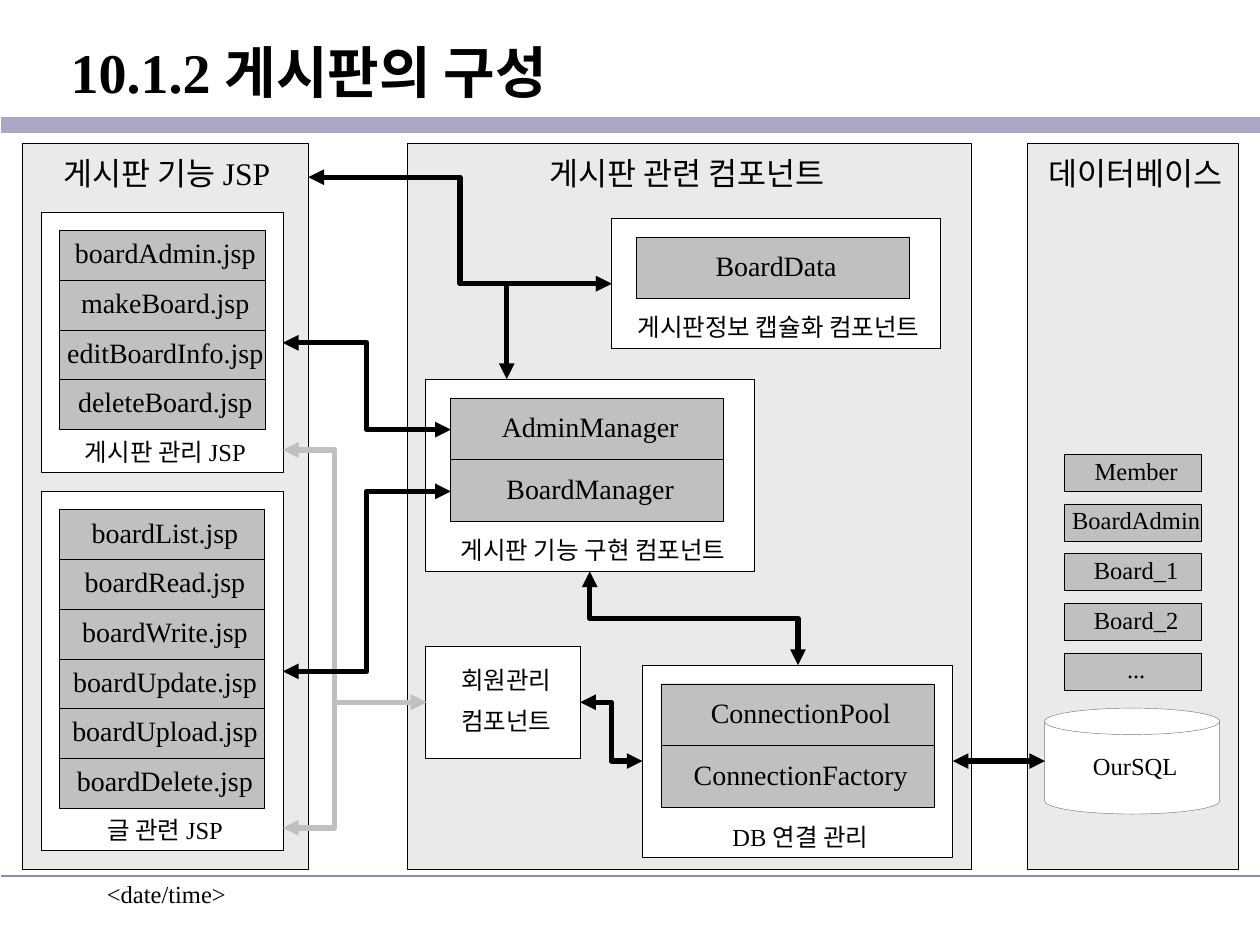
import pptx
import pptx.util
import pptx.dml.color
import pptx.enum.shapes
import pptx.enum.text
import pptx.oxml
import pptx.oxml.ns
import lxml.etree

Pt = pptx.util.Pt
RGBColor = pptx.dml.color.RGBColor
SHAPE = pptx.enum.shapes.MSO_SHAPE
CONNECTOR = pptx.enum.shapes.MSO_CONNECTOR
ANCHOR = pptx.enum.text.MSO_ANCHOR
ALIGN = pptx.enum.text.PP_ALIGN
qn = pptx.oxml.ns.qn

BLACK = RGBColor(0, 0, 0)
WHITE = RGBColor(255, 255, 255)
PANEL = RGBColor(0xEA, 0xEA, 0xEA)
SILVER = RGBColor(0xC0, 0xC0, 0xC0)
CAN_EDGE = RGBColor(0x77, 0x77, 0x77)
BAND = RGBColor(0xA8, 0xA8, 0xC4)
RULE = RGBColor(0x8C, 0x8C, 0xB2)
FONT = "Times New Roman"


def write(tf, text, size=14, bold=False, align=ALIGN.CENTER, anchor=ANCHOR.MIDDLE,
          insets=(3.6, 3.6, 0, 3.6), spacing=0.85, before=None):
    tf.word_wrap = True
    tf.auto_size = pptx.enum.text.MSO_AUTO_SIZE.NONE
    tf.vertical_anchor = anchor
    tf.margin_left, tf.margin_top, tf.margin_right, tf.margin_bottom = map(Pt, insets)
    for i, line in enumerate(text.split("\n")):
        p = tf.paragraphs[0] if i == 0 else tf.add_paragraph()
        p.alignment = align
        p.line_spacing = spacing
        p.space_before = Pt(round(size * 0.625, 1) if before is None else before)
        r = p.add_run()
        r.text = line
        r.font.name = FONT
        r.font.size = Pt(size)
        r.font.bold = bold
        r.font.color.rgb = BLACK


def block(s, x, y, w, h, fill, text="", edge=BLACK, shape=SHAPE.RECTANGLE, **fmt):
    sp = s.shapes.add_shape(shape, Pt(x), Pt(y), Pt(w), Pt(h))
    sp.shadow.inherit = False
    sp.fill.solid()
    sp.fill.fore_color.rgb = fill
    if edge is None:
        sp.line.fill.background()
    else:
        sp.line.color.rgb = edge
        sp.line.width = Pt(0.26)
    if text:
        write(sp.text_frame, text, **fmt)
    return sp


def panel(s, x, y, w, h, heading, heading_w):
    block(s, x, y, w, h, PANEL)
    block(s, x + 1.4, y + 0.7, heading_w, 35.3, PANEL, heading, edge=None, size=18)


def stack(s, x, y, w, h, caption, names, dx, cell_w, cell_h):
    block(s, x, y, w, h, WHITE, caption, anchor=ANCHOR.BOTTOM)
    for i, name in enumerate(names):
        block(s, x + dx, y + 10.6 + i * cell_h, cell_w, cell_h, SILVER, name, size=16)


def jsp_panel(s, x, y, w, h):
    panel(s, x, y, w, h, "게시판 기능 JSP", 158.4)
    stack(s, x + 10.6, y + 39, 138.2, 149, "게시판 관리 JSP",
          ["boardAdmin.jsp", "makeBoard.jsp", "editBoardInfo.jsp", "deleteBoard.jsp"],
          10.4, 117.4, 28.4)
    stack(s, x + 10.4, y + 198.6, 138.2, 205.2, "글 관련 JSP",
          [f"board{verb}.jsp" for verb in
           ("List", "Read", "Write", "Update", "Upload", "Delete")],
          10.4, 117.4, 28.4)


def component_panel(s, x, y, w, h):
    panel(s, x, y, w, h, "게시판 관련 컴포넌트", 313.2)
    stack(s, x + 116.6, y + 42.6, 187.9, 74.2, "게시판정보 캡슐화 컴포넌트",
          ["BoardData"], 14.4, 156.2, 35.4)
    stack(s, x + 10.6, y + 134.6, 187.9, 109.7, "게시판 기능 구현 컴포넌트",
          ["AdminManager", "BoardManager"], 14.2, 156.2, 35.4)
    stack(s, x + 134.5, y + 298, 177.2, 110, "DB 연결 관리",
          ["ConnectionPool", "ConnectionFactory"], 10.6, 156.2, 35.4)
    block(s, x + 10.6, y + 287.3, 88.6, 64.1, WHITE, "회원관리\n컴포넌트")


def database_panel(s, x, y, w, h):
    panel(s, x, y, w, h, "데이터베이스", 117.4)
    for i, name in enumerate(["Member", "BoardAdmin", "Board_1", "Board_2", "..."]):
        block(s, x + 21.4, y + 177.4 + i * 28.4, 78.5, 21.2, SILVER, name)
    block(s, x + 10.1, y + 322.6, 100.1, 60.5, WHITE, "OurSQL", edge=CAN_EDGE, shape=SHAPE.CAN)


def line(s, x1, y1, x2, y2, color, width, kind=CONNECTOR.STRAIGHT):
    c = s.shapes.add_connector(kind, Pt(x1), Pt(y1), Pt(x2), Pt(y2))
    c.line.color.rgb = color
    c.line.width = Pt(width)
    lxml.etree.SubElement(c._element.spPr, qn("a:effectLst"))
    return c


def arrow(s, x1, y1, x2, y2, color=BLACK, bend=0.5, corner=False, upright=False):
    kind = CONNECTOR.STRAIGHT if y1 == y2 else CONNECTOR.ELBOW
    if upright:
        cx, cy = (x1 + x2) / 2, (y1 + y2) / 2
        dx, dy = (x2 - x1) / 2, (y2 - y1) / 2
        x1, y1, x2, y2 = cx + dy, cy - dx, cx - dy, cy + dx
    c = line(s, x1, y1, x2, y2, color, 3, kind)
    spPr = c._element.spPr
    if upright:
        spPr.find(qn("a:xfrm")).set("rot", "16200000")
    geom = spPr.find(qn("a:prstGeom"))
    if corner:
        geom.set("prst", "bentConnector2")
    elif bend != 0.5:
        gd = lxml.etree.SubElement(geom.find(qn("a:avLst")), qn("a:gd"))
        gd.set("name", "adj1")
        gd.set("fmla", f"val {round(bend * 100000)}")
    ln = spPr.find(qn("a:ln"))
    for end in ("a:headEnd", "a:tailEnd"):
        lxml.etree.SubElement(ln, qn(end)).set("type", "triangle")


def links(s, x, y):
    for x1, y1, x2, y2, fmt in [
        (0, 113.8, 96, 163.4, {}),
        (382.8, 352.8, 435.6, 352.8, {}),
        (175.4, 244.4, 294.4, 298, {"upright": True}),
        (187.9, 80, 14.6, 19.2, {}),
        (187.9, 80, 128, 134.6, {"corner": True}),
        (169.9, 319.2, 205.6, 352.8, {}),
        (0, 175, 82, 319.2, {"color": SILVER, "bend": 0.362}),
        (0, 391, 82, 319.2, {"color": SILVER, "bend": 0.362}),
        (0, 301.6, 96, 198.7, {}),
    ]:
        arrow(s, x + x1, y + y1, x + x2, y + y2, **fmt)


def page_frame(s, x, y, w, h):
    line(s, x, y + 71.3, x + w, y + 71.3, BAND, 9.24)
    line(s, x, y + 500.4, x + w, y + 500.4, RULE, 0.99)
    title = s.shapes.title
    title.left, title.top, title.width, title.height = Pt(x), Pt(y + 8), Pt(w), Pt(64.8)
    write(title.text_frame, "10.1.2 게시판의 구성", size=32, bold=True, align=ALIGN.LEFT,
          insets=(39.6, 3.6, 7.2, 3.6), spacing=1, before=0)
    date = s.shapes.add_textbox(Pt(x + 53.3), Pt(y + 499), Pt(149.8), Pt(36))
    write(date.text_frame, "<date/time>", align=ALIGN.LEFT, anchor=ANCHOR.TOP,
          insets=(7.2, 3.6, 7.2, 3.6), spacing=1, before=0)


prs = pptx.Presentation()
prs.slide_width, prs.slide_height = Pt(720), Pt(540)
s = prs.slides.add_slide(prs.slide_layouts[5])
page_frame(s, 0.7, 0, 719.3, 540)
component_panel(s, 232.6, 82.1, 322.6, 414.7)
database_panel(s, 586.8, 82.1, 121, 414.7)
jsp_panel(s, 13, 82.1, 163.4, 414.7)
links(s, 161.6, 82.1)
prs.save("out.pptx")
